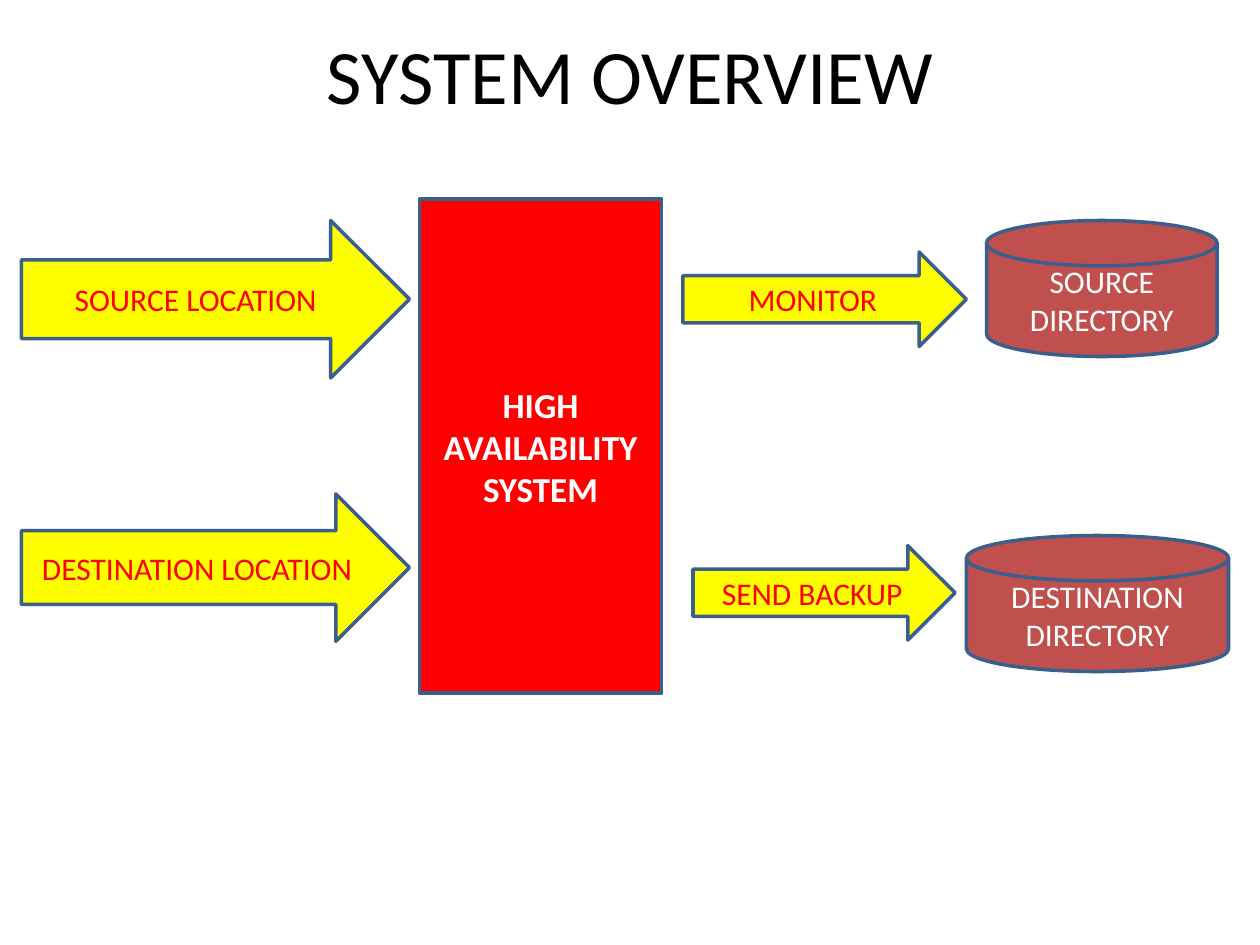
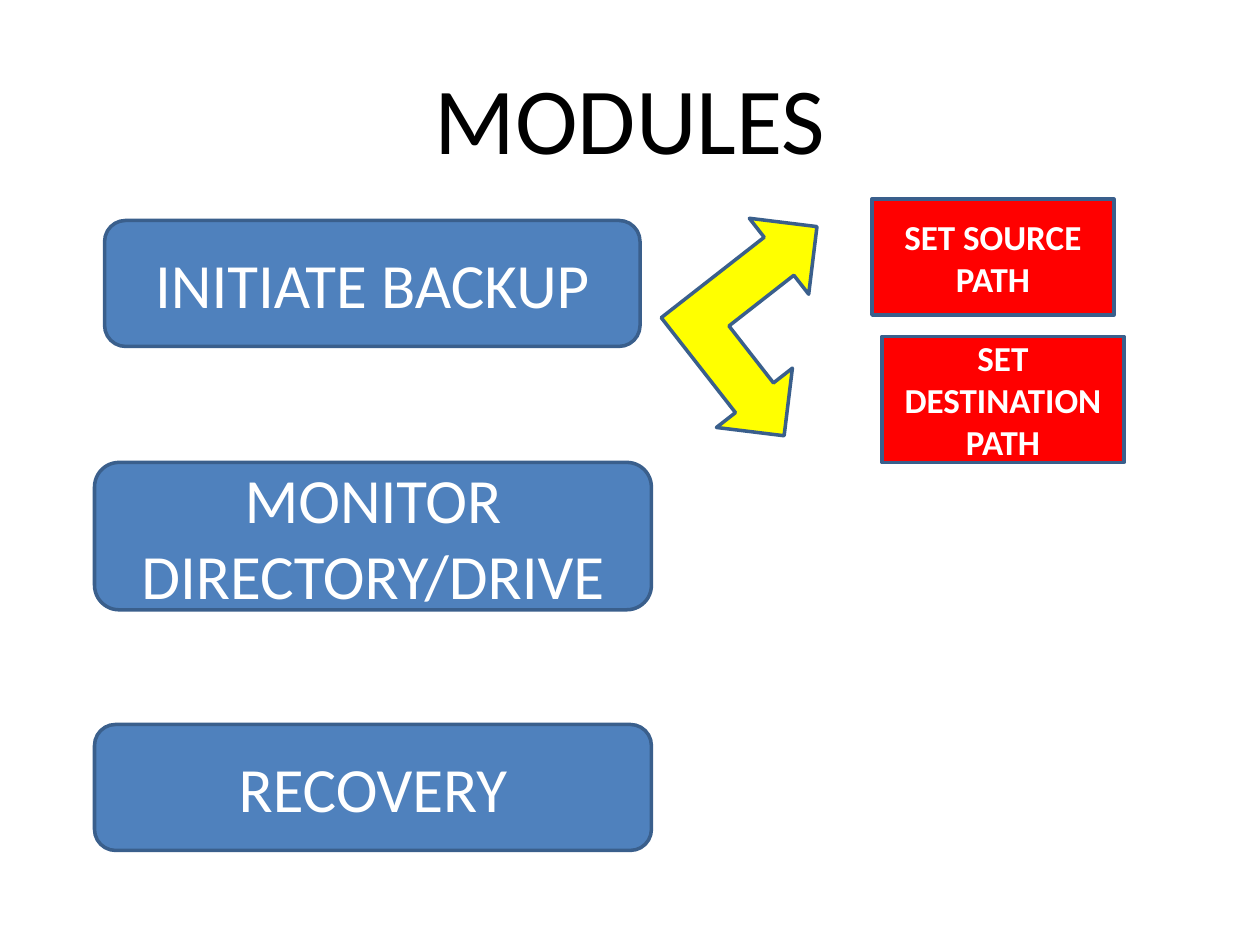
from pptx import Presentation
from pptx import util as u
from pptx.dml.color import RGBColor
from pptx.enum import shapes, text

KIND = shapes.MSO_SHAPE
EDGE = "3A5F8C"

# Each style: preset shape, fill and font values
ARROW = dict(kind=KIND.RIGHT_ARROW, fill="FFFF00", ink="FF0000", size=18)
DISK = dict(kind=KIND.FLOWCHART_MAGNETIC_DISK, fill="C0504D", size=18)
BOX = dict(kind=KIND.FLOWCHART_PROCESS, fill="FF0000", size=20, bold=True)
STEP = dict(kind=KIND.FLOWCHART_ALTERNATE_PROCESS, fill="4F81BD", size=36)
FORK = dict(kind=KIND.LEFT_UP_ARROW, fill="FFFF00")


def color(code):
    return RGBColor.from_string(code)


class Deck:
    def __init__(self):
        self.prs = Presentation()
        self.prs.slide_width = u.Inches(10)
        self.prs.slide_height = u.Inches(7.5)
        self.slide = None

    def page(self, title, top, height, size):
        """Start a blank slide with a centred title."""
        self.slide = self.prs.slides.add_slide(self.prs.slide_layouts[6])
        area = [u.Inches(v) for v in (0.5, top, 9, height)]
        box = self.slide.shapes.add_textbox(*area)
        self.label(box, title, size, "000000")

    def label(self, shape, words, size, ink="FFFFFF", bold=False):
        """Put centred text in a shape, one paragraph a line."""
        frame = shape.text_frame
        frame.word_wrap = True
        frame.vertical_anchor = text.MSO_ANCHOR.MIDDLE
        frame.text = words
        look = dict(name="Calibri", size=u.Pt(size), bold=bold)
        for para in frame.paragraphs:
            para.alignment = text.PP_ALIGN.CENTER
            for key, value in look.items():
                setattr(para.font, key, value)
            para.font.color.rgb = color(ink)

    def block(self, style, area, words="", turn=0):
        """Draw an outlined preset shape, with text if there is any."""
        font = dict(style)
        kind, fill = font.pop("kind"), font.pop("fill")
        shape = self.slide.shapes.add_shape(kind, *[u.Inches(v) for v in area])
        shape.shadow.inherit = False
        shape.rotation = turn
        shape.fill.solid()
        shape.fill.fore_color.rgb = color(fill)
        shape.line.color.rgb = color(EDGE)
        shape.line.width = u.Pt(2)
        if words:
            self.label(shape, words, **font)


def overview(deck):
    deck.page("SYSTEM OVERVIEW", 0, 1.17, 44)
    deck.block(BOX, (3.33, 1.58, 1.92, 3.92), "HIGH AVAILABILITY\nSYSTEM")

    # Inputs on the left
    deck.block(ARROW, (0.17, 1.75, 3.08, 1.25), "SOURCE LOCATION")
    deck.block(ARROW, (0.17, 3.92, 3.08, 1.17), "DESTINATION LOCATION")

    # Outputs and their stores on the right
    deck.block(ARROW, (5.42, 2, 2.25, 0.75), "MONITOR")
    deck.block(DISK, (7.67, 4.25, 2.08, 1.08), "DESTINATION DIRECTORY")
    deck.block(DISK, (7.83, 1.75, 1.83, 1.08), "SOURCE DIRECTORY")
    deck.block(ARROW, (5.5, 4.33, 2.08, 0.75), "SEND BACKUP")


def modules(deck):
    deck.page("MODULES", 0.3, 1.25, 54)

    # Main steps
    deck.block(STEP, (0.83, 1.75, 4.25, 1), "INITIATE BACKUP")
    deck.block(STEP, (0.75, 3.67, 4.42, 1.17), "MONITOR DIRECTORY/DRIVE")
    deck.block(STEP, (0.75, 5.75, 4.42, 1), "RECOVERY")

    # The first step forks into two settings
    deck.block(BOX, (7, 2.67, 1.92, 1), "SET DESTINATION PATH")
    deck.block(BOX, (6.92, 1.58, 1.92, 0.92), "SET SOURCE PATH")
    deck.block(FORK, (5.28, 1.83, 1.61, 1.53), turn=142)


def main():
    deck = Deck()
    overview(deck)
    modules(deck)
    deck.prs.save("out.pptx")


if __name__ == "__main__":
    main()
